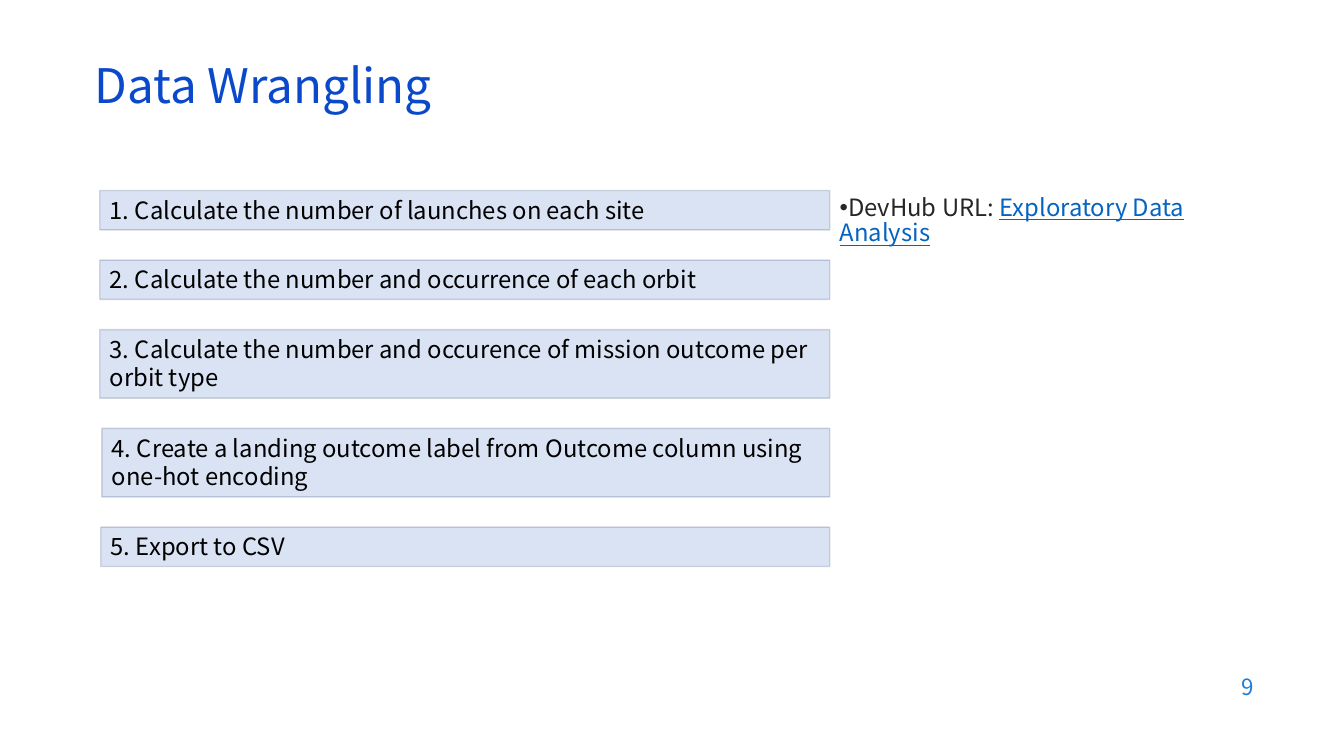
"""Build the Data Wrangling slide: five process steps and a notebook link."""
from lxml.etree import SubElement
from pptx import Presentation
from pptx.dml.color import RGBColor
from pptx.enum.shapes import MSO_SHAPE as Shape
from pptx.enum.text import MSO_ANCHOR as Anchor, PP_ALIGN as Align
from pptx.oxml.ns import qn
from pptx.util import Inches, Pt

FONT = "Noto Sans CJK TC"
COLORS = {
    "title": "0B49CB", "number": "1C7DDB", "body": "262626", "link": "0563C1",
    "step": "000000", "step_fill": "DAE3F3", "step_line": "203864",
}
TITLE = "Data Wrangling"
PAGE_NUMBER = "9"
LINK_LABEL = [
    ("DevHub URL: ", "body", False),
    ("Exploratory Data Analysis", "link", True),
]
STEPS = [
    ("Calculate the number of launches on each site", 0.99, 1),
    ("Calculate the number and occurrence of each orbit", 0.99, 1),
    ("Calculate the number and occurence of mission outcome per orbit type", 0.99, 2),
    ("Create a landing outcome label from Outcome column using one-hot encoding", 1.01, 2),
    ("Export to CSV", 1, 1),
]
STEP_TOP, STEP_RIGHT, STEP_GAP = 1.89, 8.23, 0.3
STEP_HEIGHTS = {1: 0.39, 2: 0.68}


def color(name):
    return RGBColor.from_string(COLORS[name])


def add_span(para, text, size, color_name, underline=None):
    span = para.add_run()
    span.text = text
    style = {"name": FONT, "size": Pt(size), "underline": underline}
    for key, value in style.items():
        setattr(span.font, key, value)
    span.font.color.rgb = color(color_name)


def add_text_box(page, left, top, width, height, anchor):
    box = page.shapes.add_textbox(*map(Inches, (left, top, width, height)))
    box.text_frame.word_wrap = True
    box.text_frame.vertical_anchor = anchor
    return box.text_frame.paragraphs[0]


def add_title(page):
    title = page.shapes.title
    place = {"left": 0.84, "top": 0.59, "width": 11.5, "height": 0.6}
    for key, value in place.items():
        setattr(title, key, Inches(value))
    title.text_frame.vertical_anchor = Anchor.MIDDLE
    para = title.text_frame.paragraphs[0]
    para.alignment = Align.LEFT
    para.line_spacing = 0.8
    add_span(para, TITLE, 34, "title")


def add_step(page, text, left, top, height):
    box = page.shapes.add_shape(
        Shape.RECTANGLE, *map(Inches, (left, top, STEP_RIGHT - left, height)))
    box.shadow.inherit = False
    box.fill.solid()
    box.fill.fore_color.rgb = color("step_fill")
    box.line.width = Pt(1)
    box.line.color.rgb = color("step_line")
    line_color = box.line._get_or_add_ln().find(".//" + qn("a:srgbClr"))
    SubElement(line_color, qn("a:alpha"), val="20000")
    frame = box.text_frame
    frame.word_wrap = True
    frame.vertical_anchor = Anchor.TOP
    para = frame.paragraphs[0]
    para.alignment = Align.LEFT
    add_span(para, text, 17, "step")


def add_link_label(page):
    para = add_text_box(page, 8.23, 1.89, 4.11, 4.87, Anchor.TOP)
    para.line_spacing = 0.9
    properties = para._p.get_or_add_pPr()
    properties.set("marL", "0")
    properties.set("indent", "0")
    SubElement(properties, qn("a:buFont"), typeface="Arial")
    SubElement(properties, qn("a:buChar"), char="•")
    for text, color_name, underline in LINK_LABEL:
        add_span(para, text, 17, color_name, underline)


def main():
    deck = Presentation()
    deck.slide_width, deck.slide_height = Inches(13.33), Inches(7.5)
    page = deck.slides.add_slide(deck.slide_layouts[5])
    add_title(page)
    top = STEP_TOP
    for number, (text, left, lines) in enumerate(STEPS, 1):
        height = STEP_HEIGHTS[lines]
        add_step(page, f"{number}. {text}", left, top, height)
        top += height + STEP_GAP
    add_link_label(page)
    para = add_text_box(page, 9.53, 6.59, 3, 0.44, Anchor.MIDDLE)
    para.alignment = Align.RIGHT
    add_span(para, PAGE_NUMBER, 16, "number")
    deck.save("out.pptx")


if __name__ == "__main__":
    main()
